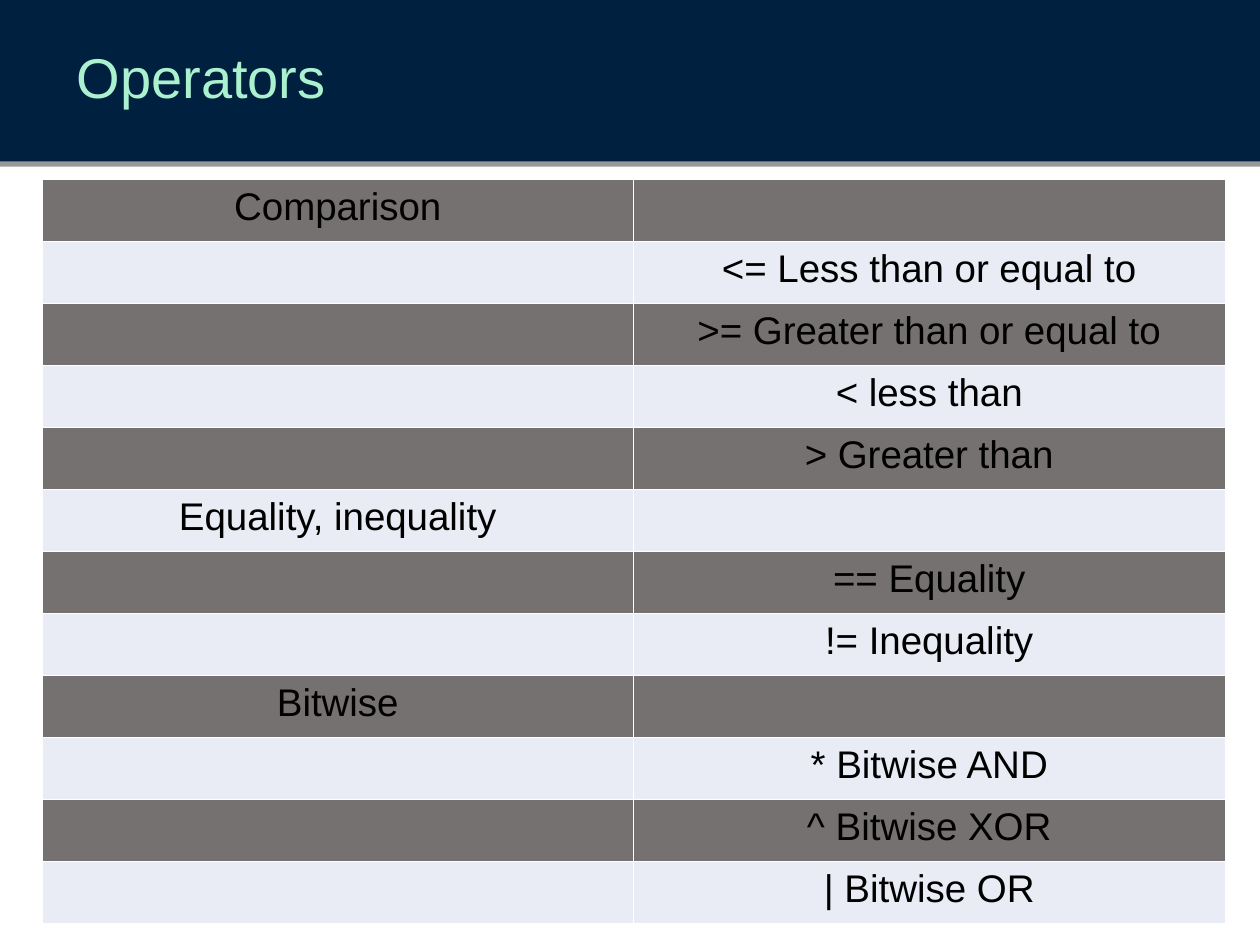
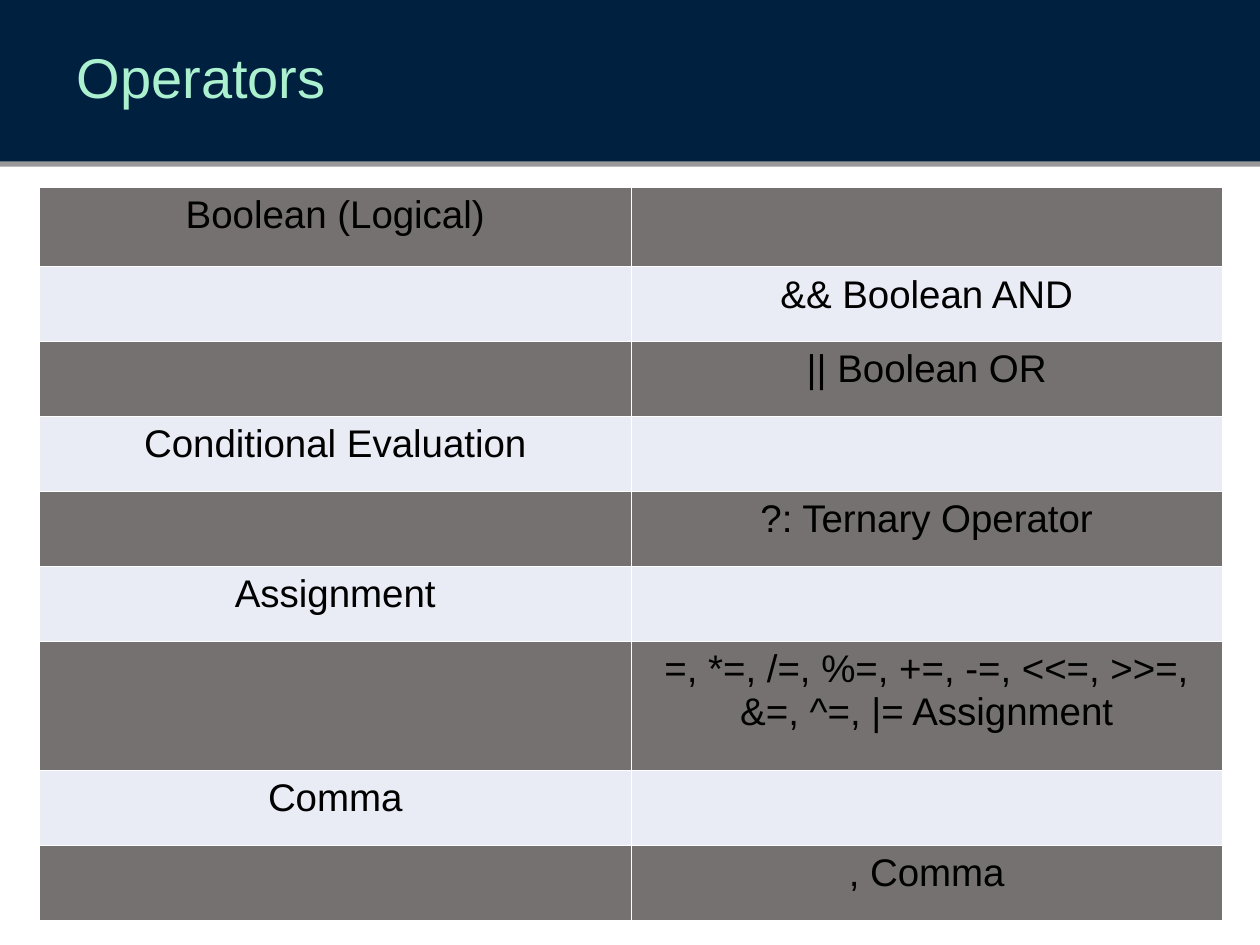
from dataclasses import dataclass

from lxml.etree import SubElement
from pptx import Presentation
from pptx.dml.color import RGBColor
from pptx.enum.shapes import MSO_SHAPE
from pptx.enum.text import MSO_ANCHOR, PP_ALIGN
from pptx.oxml.ns import qn
from pptx.presentation import Presentation as Deck
from pptx.shapes.autoshape import Shape
from pptx.slide import Slide
from pptx.table import _Cell as Cell
from pptx.text.text import _Paragraph as Paragraph
from pptx.util import Length, Pt

NAVY = RGBColor(0x00, 0x20, 0x3F)
MINT = RGBColor(0xAB, 0xF1, 0xCF)
GREY = RGBColor(0x76, 0x71, 0x71)
PALE = RGBColor(0xE9, 0xEB, 0xF5)
BLACK = RGBColor(0x00, 0x00, 0x00)
WHITE = RGBColor(0xFF, 0xFF, 0xFF)
FONT = "Arial"
PAGE_WIDTH, PAGE_HEIGHT = Pt(720), Pt(540)
BAND_HEIGHT = Pt(92.2)
TITLE_LEFT = Pt(36.7)
COLUMN_WIDTH = Pt(338)
BORDER_WIDTH = Pt(0.45)
SHADOW_DISTANCE = Pt(3)


@dataclass(frozen=True)
class Row:
    group: str = ""
    operator: str = ""
    height: Length = Pt(42.8)


@dataclass(frozen=True)
class OperatorTable:
    left: Length
    top: Length
    rows: list[Row]


SHORT = Pt(35.46)
TABLES = [
    OperatorTable(Pt(24), Pt(102.3), [
        Row("Comparison", height=SHORT),
        Row(operator="<= Less than or equal to", height=SHORT),
        Row(operator=">= Greater than or equal to", height=SHORT),
        Row(operator="< less than", height=SHORT),
        Row(operator="> Greater than", height=SHORT),
        Row("Equality, inequality", height=SHORT),
        Row(operator="== Equality", height=SHORT),
        Row(operator="!= Inequality", height=SHORT),
        Row("Bitwise", height=SHORT),
        Row(operator="* Bitwise AND", height=SHORT),
        Row(operator="^ Bitwise XOR", height=SHORT),
        Row(operator="| Bitwise OR", height=SHORT),
    ]),
    OperatorTable(Pt(22.6), Pt(107.3), [
        Row("Boolean (Logical)", height=Pt(45.2)),
        Row(operator="&& Boolean AND"),
        Row(operator="|| Boolean OR"),
        Row("Conditional Evaluation"),
        Row(operator="?: Ternary Operator"),
        Row("Assignment"),
        Row(operator="=, *=, /=, %=, +=, -=, <<=, >>=, &=, ^=, |= Assignment", height=Pt(74)),
        Row("Comma"),
        Row(operator=", Comma"),
    ]),
]


def style_text(para: Paragraph, size: Length, color: RGBColor) -> None:
    for span in para.runs:
        span.font.name = FONT
        span.font.size = size
        span.font.color.rgb = color


def add_shadow(shape: Shape) -> None:
    shape.shadow.inherit = False
    effects = shape._element.spPr.find(qn("a:effectLst"))
    shadow = SubElement(effects, qn("a:outerShdw"), blurRad="0", dist=str(SHADOW_DISTANCE),
                        dir="5400000", algn="t", rotWithShape="0")
    color = SubElement(shadow, qn("a:srgbClr"), val=str(BLACK))
    SubElement(color, qn("a:alpha"), val="40000")


def add_header(page: Slide, title: str) -> None:
    band = page.shapes.add_shape(MSO_SHAPE.RECTANGLE, 0, 0, PAGE_WIDTH, BAND_HEIGHT)
    band.fill.solid()
    band.fill.fore_color.rgb = NAVY
    band.line.fill.background()
    add_shadow(band)

    box = page.shapes.add_textbox(TITLE_LEFT, 0, PAGE_WIDTH - TITLE_LEFT, BAND_HEIGHT)
    frame = box.text_frame
    frame.word_wrap = True
    frame.vertical_anchor = MSO_ANCHOR.MIDDLE
    frame.text = title
    para = frame.paragraphs[0]
    para.line_spacing = 0.9
    para.space_after = Pt(6)
    style_text(para, Pt(32), MINT)


def add_borders(cell: Cell) -> None:
    properties = cell._tc.get_or_add_tcPr()
    for side in ("lnL", "lnR", "lnT", "lnB"):
        line = SubElement(properties, qn(f"a:{side}"), w=str(BORDER_WIDTH))
        fill = SubElement(line, qn("a:solidFill"))
        SubElement(fill, qn("a:srgbClr"), val=str(WHITE))


def fill_cell(cell: Cell, text: str, color: RGBColor) -> None:
    add_borders(cell)
    cell.fill.solid()
    cell.fill.fore_color.rgb = color
    if text:
        cell.text_frame.text = text
        para = cell.text_frame.paragraphs[0]
        para.alignment = PP_ALIGN.CENTER
        style_text(para, Pt(22), BLACK)


def add_operators(page: Slide, content: OperatorTable) -> None:
    height = sum(row.height for row in content.rows)
    table = page.shapes.add_table(len(content.rows), 2, content.left, content.top,
                                  2 * COLUMN_WIDTH, height).table
    table.first_row = False
    table.horz_banding = False
    for column in table.columns:
        column.width = COLUMN_WIDTH
    for index, row in enumerate(content.rows):
        table.rows[index].height = row.height
        color = PALE if index % 2 else GREY
        for position, text in enumerate((row.group, row.operator)):
            fill_cell(table.cell(index, position), text, color)


def add_page(deck: Deck, content: OperatorTable) -> None:
    page = deck.slides.add_slide(deck.slide_layouts[6])
    add_header(page, "Operators")
    add_operators(page, content)


def main() -> None:
    deck = Presentation()
    deck.slide_width, deck.slide_height = PAGE_WIDTH, PAGE_HEIGHT
    for content in TABLES:
        add_page(deck, content)
    deck.save("out.pptx")


if __name__ == "__main__":
    main()
